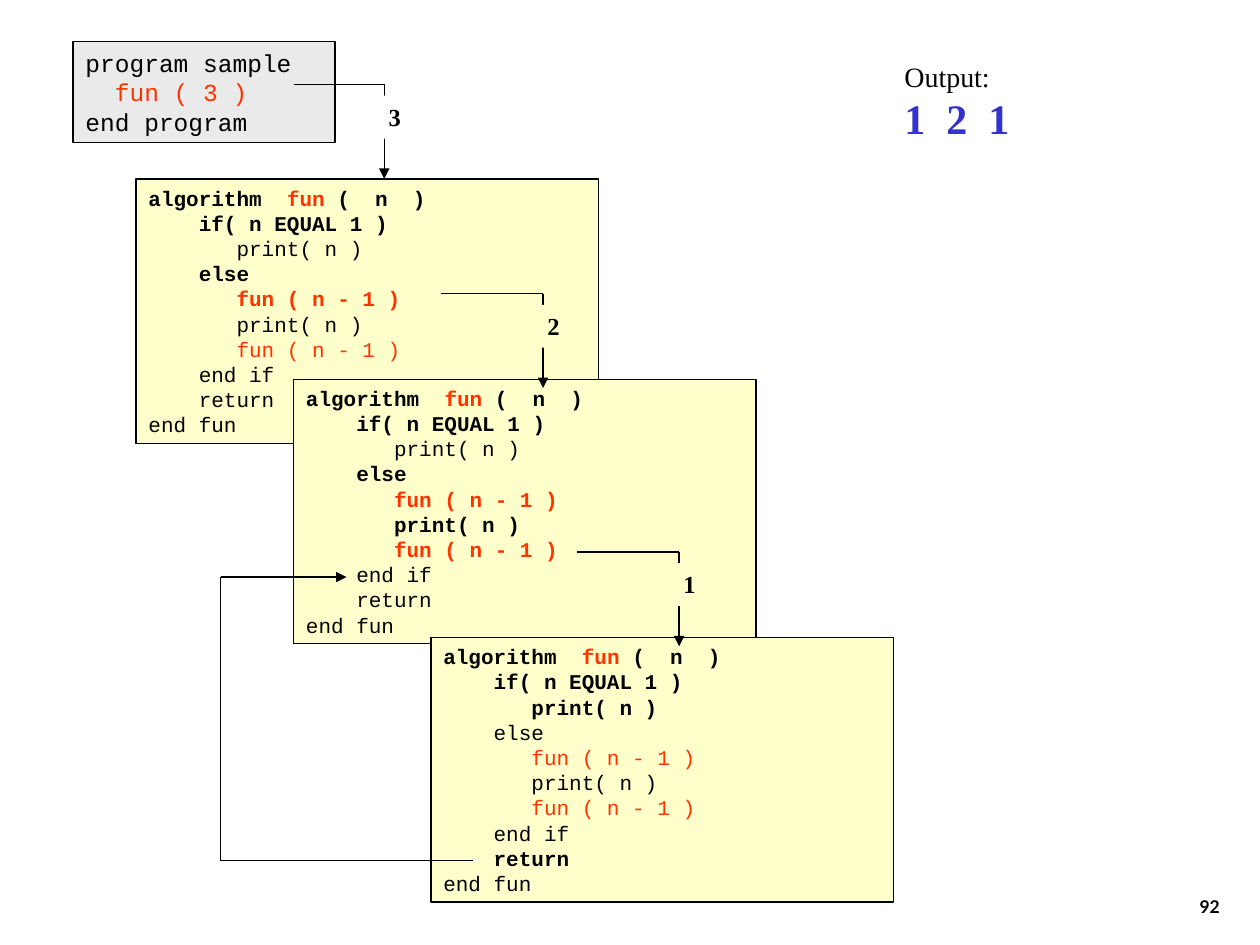
from dataclasses import dataclass
from itertools import pairwise

from lxml.etree import SubElement
from pptx import Presentation
from pptx.dml.color import RGBColor
from pptx.enum.shapes import MSO_CONNECTOR, MSO_SHAPE
from pptx.enum.text import MSO_ANCHOR, PP_ALIGN
from pptx.oxml.ns import qn
from pptx.util import Inches, Pt


@dataclass(frozen=True)
class Theme:
    ink: str = "000000"
    call: str = "FF3300"
    output: str = "3333CC"
    paper: str = "FFFFFF"
    program: str = "EAEAEA"
    code_box: str = "FFFFCC"
    code_font: str = "Courier New"
    text_font: str = "Times New Roman"
    number_font: str = "Lato"
    code_size: int = 12
    program_size: int = 14
    label_size: int = 14
    heading_size: int = 16
    output_size: int = 24
    number_size: int = 10
    line_width: float = 0.75


THEME = Theme()


class SlideBuilder:
    """Holds the theme and the slide being filled."""

    def __init__(self, slide, theme):
        self.slide = slide
        self.theme = theme

    def set_text(self, shape, lines, align=PP_ALIGN.LEFT, anchor=MSO_ANCHOR.TOP):
        """Each line is a list of (text, format values) runs."""
        frame = shape.text_frame
        frame.word_wrap = True
        frame.vertical_anchor = anchor
        for index, runs in enumerate(lines):
            paragraph = frame.add_paragraph() if index else frame.paragraphs[0]
            paragraph.alignment = align
            for text, style in runs:
                run = paragraph.add_run()
                run.text = text
                values = dict(style)
                run.font.color.rgb = RGBColor.from_string(values.pop("color", self.theme.ink))
                for name, value in values.items():
                    setattr(run.font, name, value)

    def text(self, box, lines, **placement):
        shape = self.slide.shapes.add_textbox(*map(Inches, box))
        self.set_text(shape, lines, **placement)

    def box(self, box, fill, lines, outlined=True, **placement):
        shape = self.slide.shapes.add_shape(MSO_SHAPE.RECTANGLE, *map(Inches, box))
        shape.shadow.inherit = False
        shape.fill.solid()
        shape.fill.fore_color.rgb = RGBColor.from_string(fill)
        if outlined:
            shape.line.color.rgb = RGBColor.from_string(self.theme.ink)
            shape.line.width = Pt(self.theme.line_width)
        else:
            shape.line.fill.background()
        self.set_text(shape, lines, **placement)

    def code(self, box, fill, size, lines, bold_lines=()):
        """Code lines are lists of (text, colour) parts."""
        styled = [
            [(text, {"name": self.theme.code_font, "size": Pt(size),
                     "bold": index in bold_lines, "color": color})
             for text, color in parts]
            for index, parts in enumerate(lines)
        ]
        self.box(box, fill, styled)

    def route(self, points):
        """Straight segments through the points, ending in an arrowhead."""
        for start, end in pairwise(points):
            connector = self.slide.shapes.add_connector(
                MSO_CONNECTOR.STRAIGHT, *map(Inches, (*start, *end)))
            connector.line.color.rgb = RGBColor.from_string(self.theme.ink)
            connector.line.width = Pt(self.theme.line_width)
            properties = connector._element.spPr
            SubElement(properties, qn("a:effectLst"))
            if end == points[-1]:
                SubElement(properties.find(qn("a:ln")), qn("a:tailEnd"), type="triangle")

    def call_arrow(self, left, top, run, value, label_width, fill):
        """Arrow right then down, with the passed value on its lower part."""
        corner = left + run
        self.route([(left, top), (corner, top), (corner, top + 0.75)])
        style = {"name": self.theme.text_font, "size": Pt(self.theme.label_size), "bold": True}
        label_left = corner + 0.23 - label_width
        self.box((label_left, top + 0.09, label_width, 0.34), fill,
                 [[(value, style)]], outlined=False, align=PP_ALIGN.RIGHT)


INK, CALL = THEME.ink, THEME.call
PROGRAM = [
    [("program sample", INK)],
    [("  fun ( 3 )", CALL)],
    [("end program", INK)],
]
ALGORITHM = [
    [("algorithm  ", INK), ("fun ", CALL), ("(  n  )", INK)],
    [("    if( n EQUAL 1 )", INK)],
    [("       print( n )", INK)],
    [("    else", INK)],
    [("       fun ( n - 1 )", CALL)],
    [("       print( n )", INK)],
    [("       fun ( n - 1 )", CALL)],
    [("    end if", INK)],
    [("    return", INK)],
    [("end fun", INK)],
]


def main():
    presentation = Presentation()
    presentation.slide_width, presentation.slide_height = Inches(10), Inches(7.5)
    slide = presentation.slides.add_slide(presentation.slide_layouts[6])
    builder = SlideBuilder(slide, THEME)

    def activation(left, top, executed_lines):
        builder.code((left, top, 3.67, 2.1), THEME.code_box, THEME.code_size,
                     ALGORITHM, executed_lines)

    # Main program and the first two activations; executed lines are bold
    activation(1.08, 1.42, {0, 1, 3, 4})
    builder.code((0.58, 0.33, 2.08, 0.8), THEME.program, THEME.program_size, PROGRAM)
    activation(2.33, 3.01, {0, 1, 3, 4, 5, 6})

    # Printed output
    heading = {"name": THEME.text_font, "size": Pt(THEME.heading_size)}
    printed = {"name": THEME.text_font, "size": Pt(THEME.output_size),
               "bold": True, "color": THEME.output}
    builder.text((7.08, 0.42, 2.42, 0.77),
                 [[("Output:", heading)], [("1  2  1", printed)]])

    # Calls with their arguments, and the last activation
    builder.call_arrow(2.33, 0.67, 0.72, "3", 0.39, THEME.paper)
    builder.call_arrow(3.5, 2.33, 0.81, "2", 0.44, THEME.code_box)
    activation(3.42, 5.06, {0, 1, 2, 8})
    builder.call_arrow(4.58, 4.38, 0.81, "1", 0.44, THEME.code_box)

    # Return to the second activation
    builder.route([(3.75, 6.83), (1.75, 6.83), (1.75, 4.58), (2.75, 4.58)])

    # Slide number
    number = {"name": THEME.number_font, "size": Pt(THEME.number_size), "bold": True}
    builder.text((7.7, 6.83, 2.08, 0.5), [[("92", number)]],
                 align=PP_ALIGN.RIGHT, anchor=MSO_ANCHOR.BOTTOM)

    presentation.save("out.pptx")


if __name__ == "__main__":
    main()
